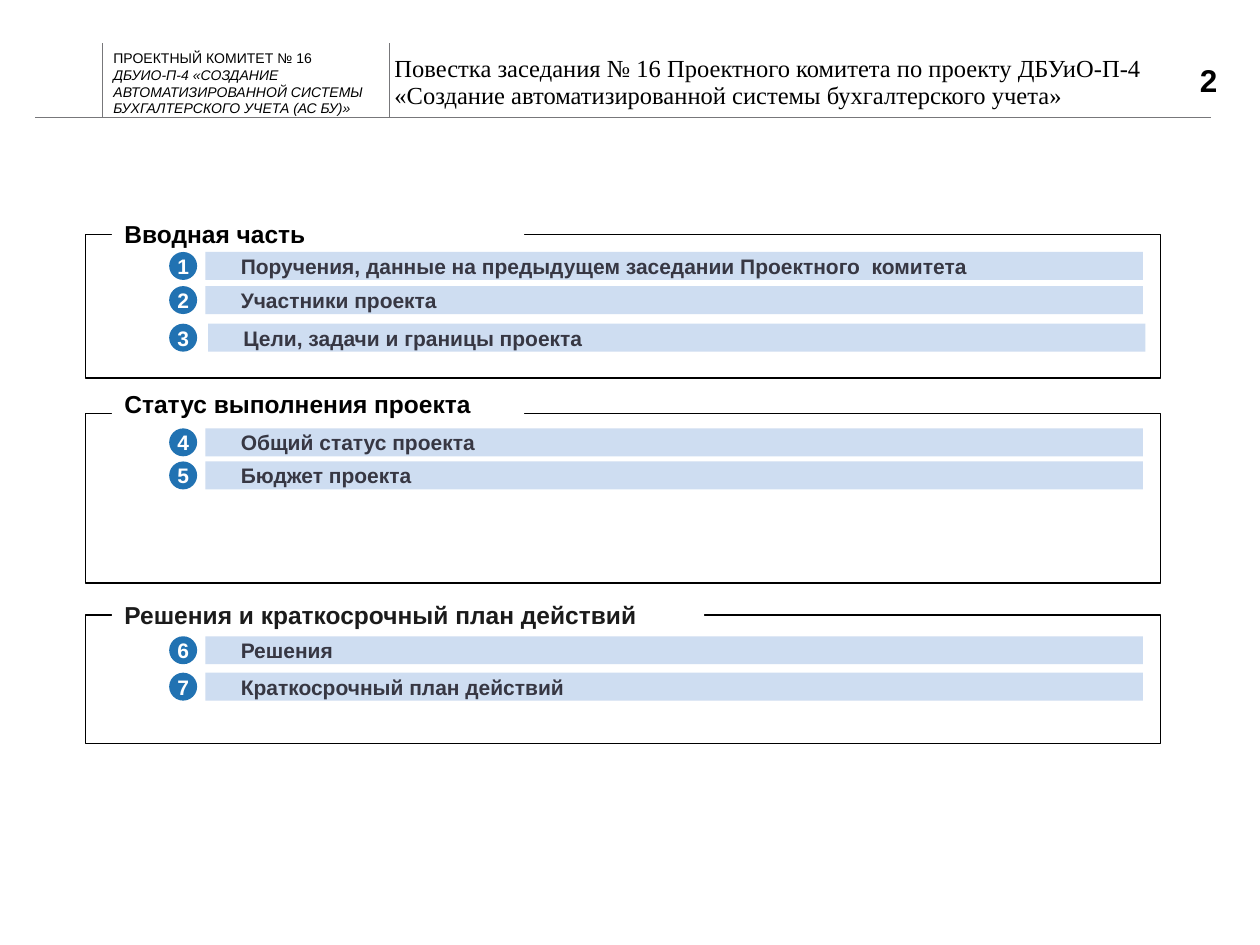
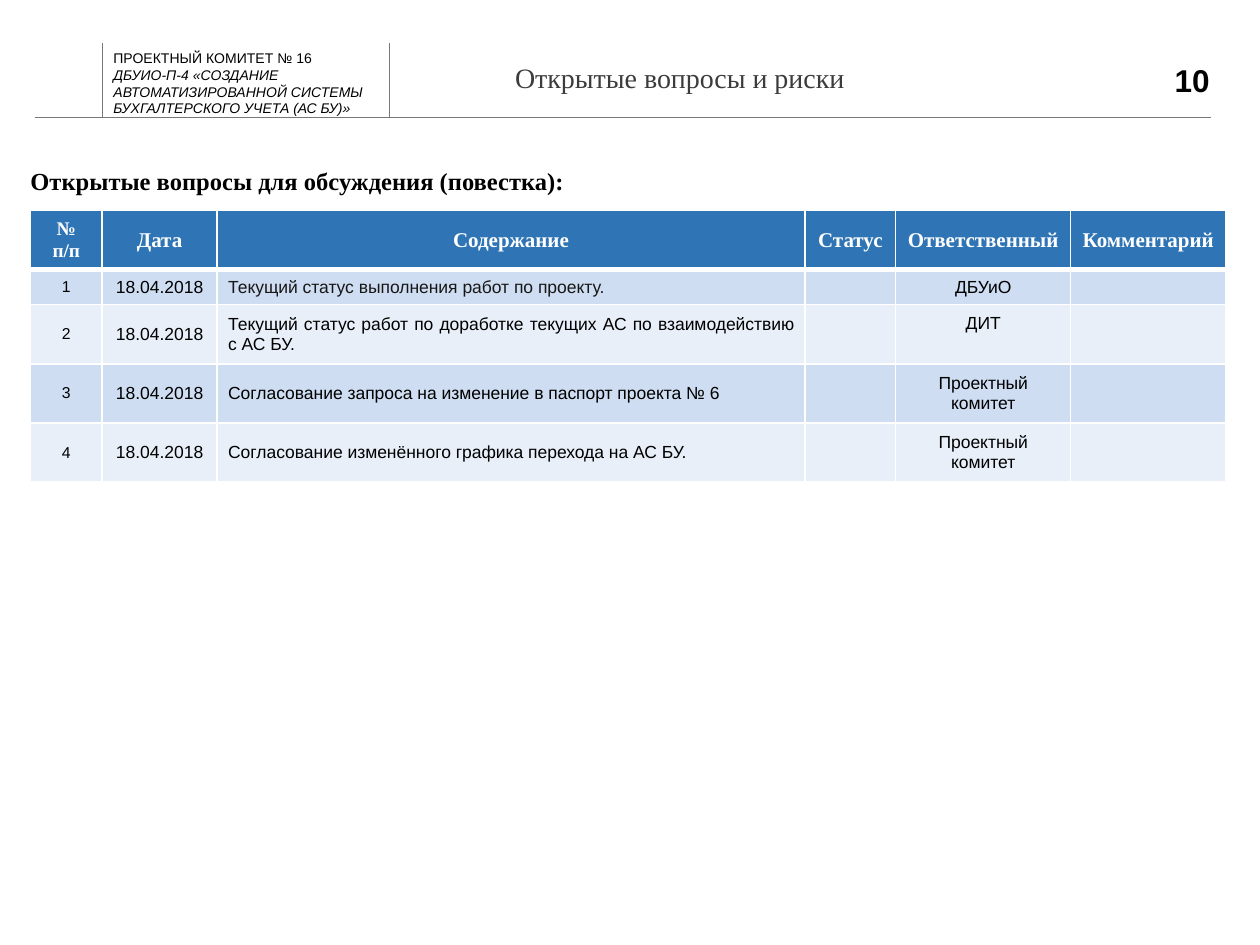
from pptx import Presentation
from pptx.util import Pt
from pptx.dml.color import RGBColor
from pptx.enum.shapes import MSO_CONNECTOR, MSO_SHAPE
from pptx.enum.text import MSO_ANCHOR, PP_ALIGN
from pptx.oxml.ns import qn
from lxml.etree import SubElement

SANS, SERIF = "Arial", "Times New Roman"
BLACK, WHITE, RULE = "000000", "FFFFFF", "77777A"
DISC, BAR, INK = "2172B2", "CEDDF1", "373743"
HEAD, BANDS = "2F75B5", ("CEDDF1", "E8EFF8")
LEFT, MID, RIGHT, JUST = PP_ALIGN.LEFT, PP_ALIGN.CENTER, PP_ALIGN.RIGHT, PP_ALIGN.JUSTIFY
INSET = 7.2

# Frame top, height; caption rise, width, height, colour; items: offset, bar shift, text
PARTS = [
    (134, 82, 12.2, 235.5, 24.5, BLACK, "Вводная часть", [
        (10, 0, "Поручения, данные на предыдущем заседании Проектного  комитета"),
        (29.5, 0, "Участники проекта"),
        (51, 1.5, "Цели, задачи и границы проекта")]),
    (236.2, 97, 17.3, 235.5, 24.5, BLACK, "Статус выполнения проекта", [
        (8.6, 0, "Общий статус проекта"),
        (27.5, 0, "Бюджет проекта")]),
    (351.4, 73.5, 12.2, 338.4, 49.7, "1B1B1B", "Решения и краткосрочный план действий", [
        (12.2, 0, "Решения"),
        (33, 0, "Краткосрочный план действий")]),
]

COLS = [41, 65.6, 336.1, 51.8, 100, 88.7]
ROWS = [31.7, 20.2, 33.8, 33.8, 33.8]
TITLES = ["№\nп/п", "Дата", "Содержание", "Статус", "Ответственный", "Комментарий"]
DATE = "18.04.2018"
TASKS = [
    ("Текущий статус выполнения работ по проекту.", "ДБУиО"),
    ("Текущий статус работ по доработке текущих АС по взаимодействию с АС БУ.", "ДИТ"),
    ("Согласование запроса на изменение в паспорт проекта № 6", "Проектный комитет"),
    ("Согласование изменённого графика перехода на АС БУ.", "Проектный комитет"),
]


def tint(code):
    return RGBColor.from_string(code)


def write(frame, text, size, color=BLACK, font=SANS, bold=False, align=LEFT, slant=()):
    """Fill a text frame, one paragraph per line; slant lists the italic lines."""
    for i, line in enumerate(text.split("\n")):
        para = frame.paragraphs[0] if i == 0 else frame.add_paragraph()
        para.alignment = align
        run = para.add_run()
        run.text = line
        face = run.font
        face.name, face.size, face.bold = font, Pt(size), bold
        face.italic = i in slant
        face.color.rgb = tint(color)
    return frame.paragraphs[0]


def setup(frame, pad=0, anchor=MSO_ANCHOR.MIDDLE, wrap=True):
    frame.word_wrap, frame.vertical_anchor = wrap, anchor
    frame.margin_left = frame.margin_right = Pt(pad)
    frame.margin_top = frame.margin_bottom = Pt(pad / 2)
    return frame


def label(slide, box, text, size, pad=0, **style):
    area = slide.shapes.add_textbox(*map(Pt, box))
    return write(setup(area.text_frame, pad), text, size, **style)


def block(slide, box, fill, kind=MSO_SHAPE.RECTANGLE, line=None):
    shape = slide.shapes.add_shape(kind, *map(Pt, box))
    shape.shadow.inherit = False
    shape.fill.solid()
    shape.fill.fore_color.rgb = tint(fill)
    if line:
        shape.line.color.rgb = tint(line)
        shape.line.width = Pt(0.75)
    else:
        shape.line.fill.background()
    return shape


def rule(slide, *ends):
    line = slide.shapes.add_connector(MSO_CONNECTOR.STRAIGHT, *map(Pt, ends))
    line.line.color.rgb = tint(RULE)
    line.line.width = Pt(0.25)
    SubElement(line._element.spPr, qn("a:effectLst"))


def header(slide, number, box):
    """Rules, project name and page number; box holds the number."""
    base = 67
    rule(slide, 692, base, 20, base)
    for x in (58.3, 222.5):
        rule(slide, x, base, x, 24.5)
    label(slide, (64.8, 28.1, 157.7, 38.9),
          "ПРОЕКТНЫЙ КОМИТЕТ № 16\nДБУИО-П-4 «СОЗДАНИЕ АВТОМАТИЗИРОВАННОЙ "
          "СИСТЕМЫ БУХГАЛТЕРСКОГО УЧЕТА (АС БУ)»", 8, slant=(1,))
    label(slide, box, number, 18, bold=True, align=RIGHT)


def entry(slide, left, top, shift, number, text):
    """Numbered disc and its bar."""
    size = 16
    disc = block(slide, (left, top, size, size), DISC, MSO_SHAPE.OVAL)
    write(setup(disc.text_frame, wrap=False), str(number), 12, WHITE, bold=True, align=MID)
    bar = block(slide, (left + 20.7 + shift, top, 535.7, size), BAR)
    frame = setup(bar.text_frame, INSET)
    frame.margin_left = Pt(20.2)
    write(frame, text, 12, INK, bold=True)


def section(slide, part, first):
    """Framed group with a caption over its top edge; gives the next number."""
    top, high, rise, wide, tall, color, name, items = part
    left = 49
    block(slide, (left, top, 614, high), WHITE, line=BLACK)
    title = block(slide, (left + 15, top - rise, wide, tall), WHITE)
    write(setup(title.text_frame, INSET, MSO_ANCHOR.TOP), name, 14, color, bold=True)
    for number, (drop, shift, text) in enumerate(items, first):
        entry(slide, left + 47.7, top + drop, shift, number, text)
    return first + len(items)


def edges(cell, **widths):
    """White cell borders, widths in points."""
    props = cell._tc.get_or_add_tcPr()
    for side in "LRTB":
        line = SubElement(props, qn("a:ln" + side), w=str(Pt(widths.get(side, 1))))
        fill = SubElement(line, qn("a:solidFill"))
        SubElement(fill, qn("a:srgbClr"), val=WHITE)


def paint(cell, fill, **widths):
    edges(cell, **widths)
    cell.fill.solid()
    cell.fill.fore_color.rgb = tint(fill)
    cell.vertical_anchor = MSO_ANCHOR.MIDDLE
    cell.margin_left = cell.margin_right = Pt(6.4)
    cell.margin_top = cell.margin_bottom = Pt(3.6)


def grid(slide, left, top):
    """Table of open questions."""
    shape = slide.shapes.add_table(len(ROWS), len(COLS), Pt(left), Pt(top),
                                   Pt(sum(COLS)), Pt(sum(ROWS)))
    table = shape.table
    for col, wide in zip(table.columns, COLS):
        col.width = Pt(wide)
    for row, high in zip(table.rows, ROWS):
        row.height = Pt(high)

    # Head row
    for c, text in enumerate(TITLES):
        cell = table.cell(0, c)
        paint(cell, HEAD, B=3)
        write(cell.text_frame, text, 12 if c else 11, WHITE, SERIF, True, MID)

    # Body rows
    for r, (task, owner) in enumerate(TASKS, 1):
        for c, text in enumerate((str(r), DATE, task, "", owner, "")):
            cell = table.cell(r, c)
            paint(cell, BANDS[(r - 1) % 2], T=3 if r == 1 else 1)
            if text:
                color = "181717" if (r, c) == (1, 2) else BLACK
                write(cell.text_frame, text, 10 if c else 9, color,
                      align=JUST if c == 2 else MID)
            else:
                para = cell.text_frame.paragraphs[0]
                SubElement(para._p, qn("a:endParaRPr"), sz="1000")
    # The short owner name sits on the first line of a two-line row
    table.cell(2, 4).vertical_anchor = MSO_ANCHOR.TOP
    table.cell(2, 4).margin_top = Pt(5)


def agenda(slide):
    header(slide, "2", (674, 27.4, 21.6, 36.7))
    number = 1
    for part in PARTS:
        number = section(slide, part, number)
    title = label(slide, (225.4, 29.5, 448.6, 36),
                  "Повестка заседания № 16 Проектного комитета по проекту ДБУиО-П-4 "
                  "«Создание автоматизированной системы бухгалтерского учета»",
                  14, font=SERIF)
    title.line_spacing = 0.9


def issues(slide):
    header(slide, "10", (663.1, 27.4, 28.1, 36.7))
    title = label(slide, (287.3, 28.8, 357, 33.8), "Открытые вопросы и риски", 16,
                  INSET, color="3C3C3D", font=SERIF)
    title.line_spacing = 0.9
    left = 17.4
    grid(slide, left, 120.3)
    lead = label(slide, (left, 85, 460, 33.8), "Открытые вопросы для обсуждения (повестка):",
                 14, font=SERIF, bold=True, align=JUST)
    lead.line_spacing, lead.space_before = 1.15, Pt(6)


def main():
    deck = Presentation()
    deck.slide_width, deck.slide_height = Pt(720), Pt(540)
    for build in (agenda, issues):
        build(deck.slides.add_slide(deck.slide_layouts[6]))
    deck.save("out.pptx")


if __name__ == "__main__":
    main()
